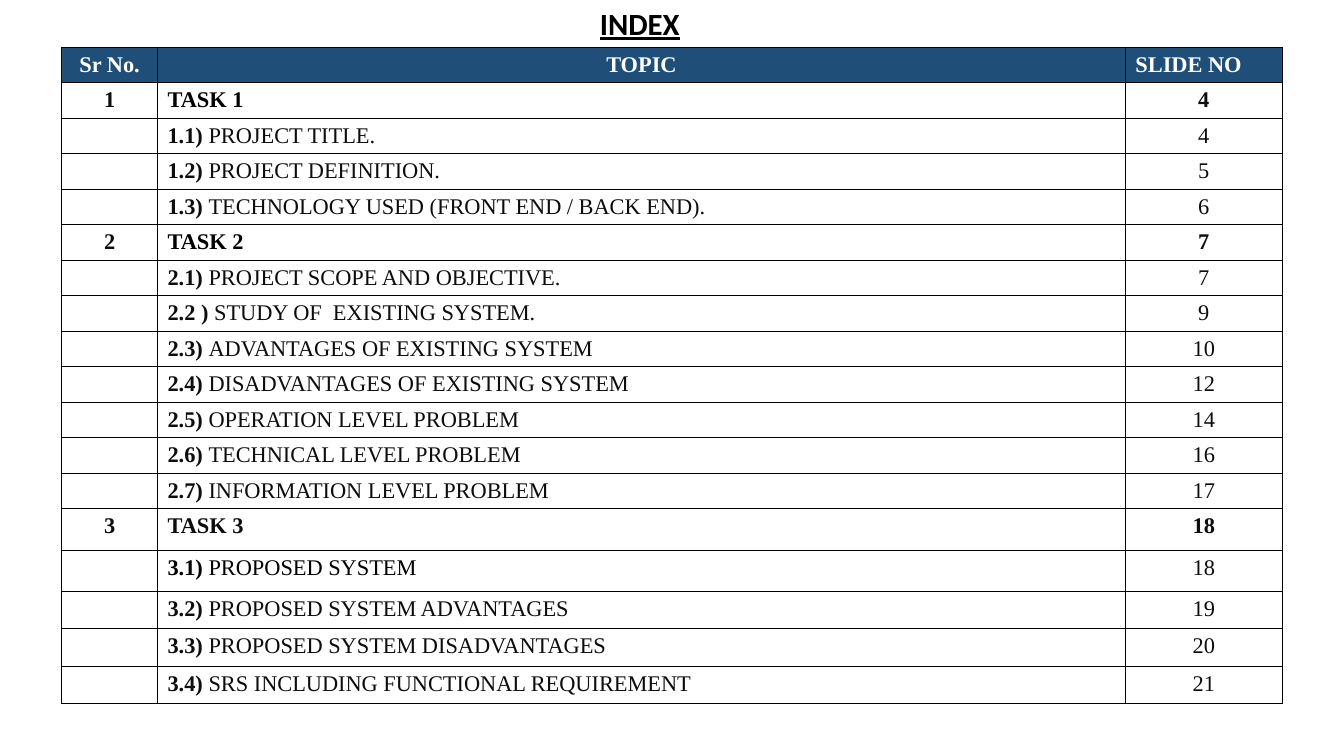
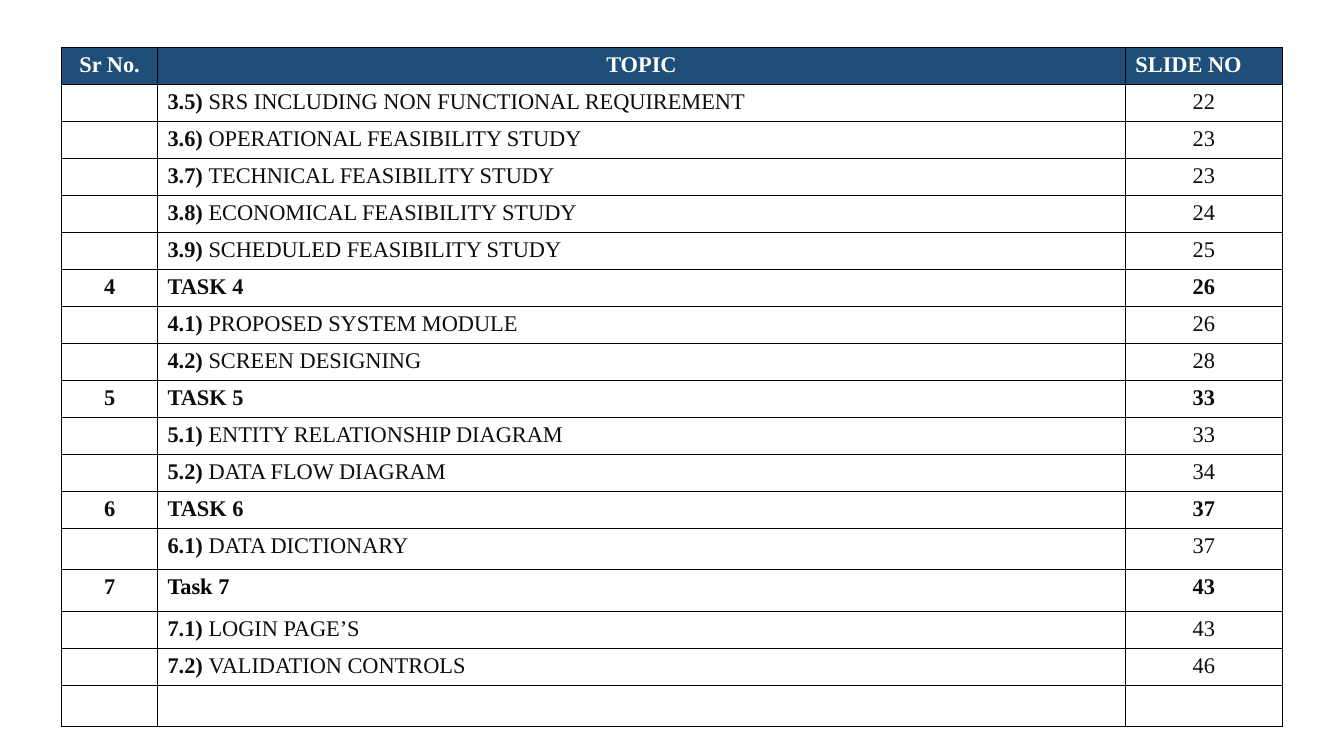
from dataclasses import dataclass

from lxml import etree
from pptx import Presentation, util as u
from pptx.dml.color import RGBColor
from pptx.enum import text as t
from pptx.oxml.ns import qn

STEP = 0.05  # grid step in inches
WIDE, HIGH = 13.33, 7.5
LEFT, TOP = 12.24, 9.4  # table corner, in steps
COLS = (19, 192, 31.1)
ROWS = (7.04,) * 13 + (8.24,) * 2 + (7.4,) * 3
SERIF, SANS = "Times New Roman", "Calibri"
BLUE, WHITE, BLACK, DARK = "1F4E79", "FFFFFF", "000000", "0D0D0D"
SIZE = 16
MID, START = t.PP_ALIGN.CENTER, t.PP_ALIGN.LEFT
HEAD = (("Sr No.", MID), ("TOPIC", MID), ("SLIDE NO", START))


@dataclass
class Item:
    mark: str = ""
    topic: str = ""
    page: str = ""
    ink: str = DARK

    @property
    def task(self) -> bool:
        return self.mark.isdigit()


FIRST = (
    Item("1", "TASK 1", "4", BLACK),
    Item("1.1)", "PROJECT TITLE.", "4"),
    Item("1.2)", "PROJECT DEFINITION.", "5"),
    Item("1.3)", "TECHNOLOGY USED (FRONT END / BACK END).", "6"),
    Item("2", "TASK 2", "7", BLACK),
    Item("2.1)", "PROJECT SCOPE AND OBJECTIVE.", "7"),
    Item("2.2 )", "STUDY OF  EXISTING SYSTEM.", "9"),
    Item("2.3)", "ADVANTAGES OF EXISTING SYSTEM", "10"),
    Item("2.4)", "DISADVANTAGES OF EXISTING SYSTEM", "12"),
    Item("2.5)", "OPERATION LEVEL PROBLEM", "14"),
    Item("2.6)", "TECHNICAL LEVEL PROBLEM", "16"),
    Item("2.7)", "INFORMATION LEVEL PROBLEM", "17"),
    Item("3", "TASK 3", "18"),
    Item("3.1)", "PROPOSED SYSTEM", "18", BLACK),
    Item("3.2)", "PROPOSED SYSTEM ADVANTAGES", "19"),
    Item("3.3)", "PROPOSED SYSTEM DISADVANTAGES", "20"),
    Item("3.4)", "SRS INCLUDING FUNCTIONAL REQUIREMENT", "21"),
)
SECOND = (
    Item("3.5)", "SRS INCLUDING NON FUNCTIONAL REQUIREMENT", "22"),
    Item("3.6)", "OPERATIONAL FEASIBILITY STUDY", "23"),
    Item("3.7)", "TECHNICAL FEASIBILITY STUDY", "23"),
    Item("3.8)", "ECONOMICAL FEASIBILITY STUDY", "24"),
    Item("3.9)", "SCHEDULED FEASIBILITY STUDY", "25"),
    Item("4", "TASK 4", "26"),
    Item("4.1)", "PROPOSED SYSTEM MODULE", "26"),
    Item("4.2)", "SCREEN DESIGNING", "28"),
    Item("5", "TASK 5", "33"),
    Item("5.1)", "ENTITY RELATIONSHIP DIAGRAM", "33"),
    Item("5.2)", "DATA FLOW DIAGRAM", "34"),
    Item("6", "TASK 6", "37"),
    Item("6.1)", "DATA DICTIONARY", "37"),
    Item("7", "Task 7", "43", BLACK),
    Item("7.1)", "LOGIN PAGE’S", "43"),
    Item("7.2)", "VALIDATION CONTROLS", "46"),
    Item(),
)


def grid(steps: float) -> int:
    return u.Inches(steps * STEP)


def hue(code: str) -> RGBColor:
    return RGBColor.from_string(code)


def write(para, words: str, ink: str, bold: bool, size: int = SIZE, face: str = SERIF):
    run = para.add_run()
    run.text = words
    font = run.font
    font.name, font.size, font.bold = face, u.Pt(size), bold
    font.color.rgb = hue(ink)
    return run


def edge(cell) -> None:
    """Draw a thin black line on all four sides of a cell."""
    props = cell._tc.get_or_add_tcPr()
    for side in ("lnL", "lnR", "lnT", "lnB"):
        line = etree.SubElement(props, qn(f"a:{side}"), w=str(u.Pt(1)))
        fill = etree.SubElement(line, qn("a:solidFill"))
        etree.SubElement(fill, qn("a:srgbClr"), val=BLACK)


def fill_row(cells, item: Item) -> None:
    mark, topic, page = (cell.text_frame.paragraphs[0] for cell in cells)
    mark.alignment = page.alignment = MID
    if item.task:
        write(mark, item.mark, DARK, True)
    elif item.mark:
        write(topic, f"{item.mark} ", item.ink, True)
    write(topic, item.topic, item.ink, item.task)
    write(page, item.page, DARK, item.task)
    for para in (mark, topic, page):  # keeps an empty cell as low as a filled one
        end = etree.SubElement(para._p, qn("a:endParaRPr"), sz=str(SIZE * 100))
        etree.SubElement(end, qn("a:latin"), typeface=SERIF)


def add_index(slide, items: tuple[Item, ...]) -> None:
    frame = slide.shapes.add_table(
        len(ROWS), len(COLS), grid(LEFT), grid(TOP), grid(sum(COLS)), grid(sum(ROWS)))
    table = frame.table
    table.first_row = table.horz_banding = False
    for col, wide in zip(table.columns, COLS):
        col.width = grid(wide)
    for row, high in zip(table.rows, ROWS):
        row.height = grid(high)
    for cell in table.iter_cells():
        edge(cell)
        cell.fill.background()
    for cell, (label, align) in zip(table.rows[0].cells, HEAD):
        cell.fill.solid()
        cell.fill.fore_color.rgb = hue(BLUE)
        para = cell.text_frame.paragraphs[0]
        para.alignment = align
        write(para, label, WHITE, True)
    for row, item in zip(list(table.rows)[1:], items):
        fill_row(row.cells, item)


def add_title(slide, words: str) -> None:
    box = slide.shapes.add_textbox(grid(71), 0, grid(111.8), grid(TOP))
    box.text_frame.word_wrap = True
    para = box.text_frame.paragraphs[0]
    para.alignment = MID
    write(para, words, BLACK, True, 22, SANS).font.underline = True


def main() -> None:
    deck = Presentation()
    deck.slide_width, deck.slide_height = u.Inches(WIDE), u.Inches(HIGH)
    slides = []
    for items in (FIRST, SECOND):
        slide = deck.slides.add_slide(deck.slide_layouts[6])
        add_index(slide, items)
        slides.append(slide)
    add_title(slides[0], "INDEX")
    deck.save("out.pptx")


if __name__ == "__main__":
    main()
